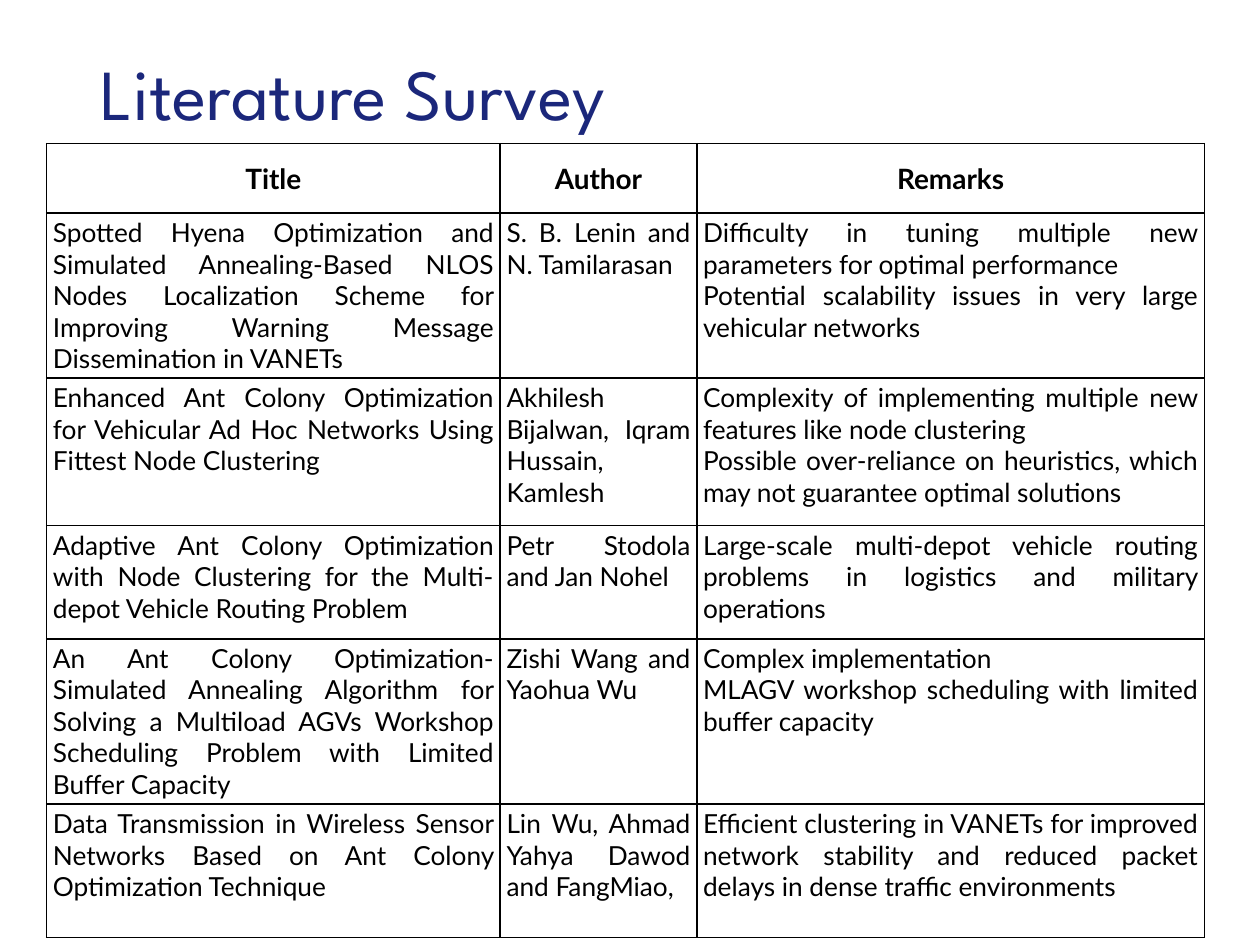
from lxml.etree import SubElement
from pptx import Presentation
from pptx.dml.color import RGBColor
from pptx.enum.text import MSO_ANCHOR, PP_ALIGN
from pptx.oxml.ns import qn
from pptx.util import Inches, Pt

COLORS = {"title": "1B277B", "text": "000000", "border": "000000"}
HEADINGS = ["Title", "Author", "Remarks"]
PAPERS = [
    ("Spotted Hyena Optimization and Simulated Annealing-Based NLOS Nodes Localization "
     "Scheme for Improving Warning Message Dissemination in VANETs",
     "S. B. Lenin and N. Tamilarasan",
     "Difficulty in tuning multiple new parameters for optimal performance\n"
     "Potential scalability issues in very large vehicular networks"),
    ("Enhanced Ant Colony Optimization for Vehicular Ad Hoc Networks Using "
     "Fittest Node Clustering",
     "Akhilesh Bijalwan, Iqram Hussain, Kamlesh",
     "Complexity of implementing multiple new features like node clustering\n"
     "Possible over-reliance on heuristics, which may not guarantee optimal solutions"),
    ("Adaptive Ant Colony Optimization with Node Clustering for the Multi-depot "
     "Vehicle Routing Problem",
     "Petr Stodola and Jan Nohel",
     "Large-scale multi-depot vehicle routing problems in logistics and military operations"),
    ("An Ant Colony Optimization-Simulated Annealing Algorithm for Solving a Multiload "
     "AGVs Workshop Scheduling Problem with Limited Buffer Capacity",
     "Zishi Wang and Yaohua Wu",
     "Complex implementation\n"
     "MLAGV workshop scheduling with limited buffer capacity"),
    ("Data Transmission in Wireless Sensor Networks Based on Ant Colony "
     "Optimization Technique",
     "Lin Wu, Ahmad Yahya Dawod and FangMiao,",
     "Efficient clustering in VANETs for improved network stability and reduced packet "
     "delays in dense traffic environments"),
]
COLUMN_WIDTHS = [3.6, 1.56, 4.03]
ROW_HEIGHTS = [0.55, 1.17, 1.17, 0.9, 1.1, 1.06]


def write_text(frame, text, *, size, font="Lato", color="text", bold=False,
               align=PP_ALIGN.LEFT, line_spacing=None):
    """Fill a text frame with one formatted paragraph per line of text."""
    frame.word_wrap = True
    frame.text = text
    for paragraph in frame.paragraphs:
        paragraph.alignment = align
        paragraph.line_spacing = line_spacing
        for run in paragraph.runs:
            run.font.name = font
            run.font.size = Pt(size)
            run.font.bold = bold
            run.font.color.rgb = RGBColor.from_string(COLORS[color])


class SurveySlide:
    """Hold the survey style and the slide being built."""

    def __init__(self, slide):
        """Remember the slide to draw on."""
        self.slide = slide

    def add_title(self, text, left, top, width, height):
        """Add the slide heading."""
        shape = self.slide.shapes.add_textbox(
            Inches(left), Inches(top), Inches(width), Inches(height))
        shape.text_frame.vertical_anchor = MSO_ANCHOR.MIDDLE
        write_text(shape.text_frame, text, size=41, font="League Spartan",
                   color="title", line_spacing=0.9)

    def add_borders(self, cell):
        """Draw a thin line on each side of a cell."""
        properties = cell._tc.get_or_add_tcPr()
        for index, side in enumerate(("lnL", "lnR", "lnT", "lnB")):
            line = properties.makeelement(qn(f"a:{side}"), {"w": str(Pt(1))})
            fill = SubElement(line, qn("a:solidFill"))
            SubElement(fill, qn("a:srgbClr"), val=COLORS["border"])
            properties.insert(index, line)

    def style_cell(self, cell, text, is_heading):
        """Write and format one table cell."""
        cell.margin_left = cell.margin_right = Inches(0.05)
        cell.margin_top = cell.margin_bottom = Inches(0.03)
        cell.vertical_anchor = MSO_ANCHOR.MIDDLE if is_heading else MSO_ANCHOR.TOP
        cell.fill.background()
        write_text(cell.text_frame, text, size=16 if is_heading else 15, bold=is_heading,
                   align=PP_ALIGN.CENTER if is_heading else PP_ALIGN.JUSTIFY)
        self.add_borders(cell)

    def add_table(self, rows, left, top, widths, heights):
        """Add a table whose first row holds the headings."""
        table = self.slide.shapes.add_table(
            len(heights), len(widths), Inches(left), Inches(top),
            Inches(sum(widths)), Inches(sum(heights))).table
        table.horz_banding = False
        table.first_row = False
        for column, width in zip(table.columns, widths):
            column.width = Inches(width)
        for index, (row, height, texts) in enumerate(zip(table.rows, heights, rows)):
            row.height = Inches(height)
            for cell, text in zip(row.cells, texts):
                self.style_cell(cell, text, is_heading=index == 0)


def main():
    """Build and save the literature survey slide."""
    presentation = Presentation()
    presentation.slide_width = Inches(10)
    presentation.slide_height = Inches(7.5)
    survey = SurveySlide(presentation.slides.add_slide(presentation.slide_layouts[6]))
    survey.add_title("Literature Survey", 0.7, 0.23, 8.8, 1.09)
    survey.add_table([HEADINGS, *PAPERS], 0.37, 1.14, COLUMN_WIDTHS, ROW_HEIGHTS)
    presentation.save("out.pptx")


if __name__ == "__main__":
    main()
